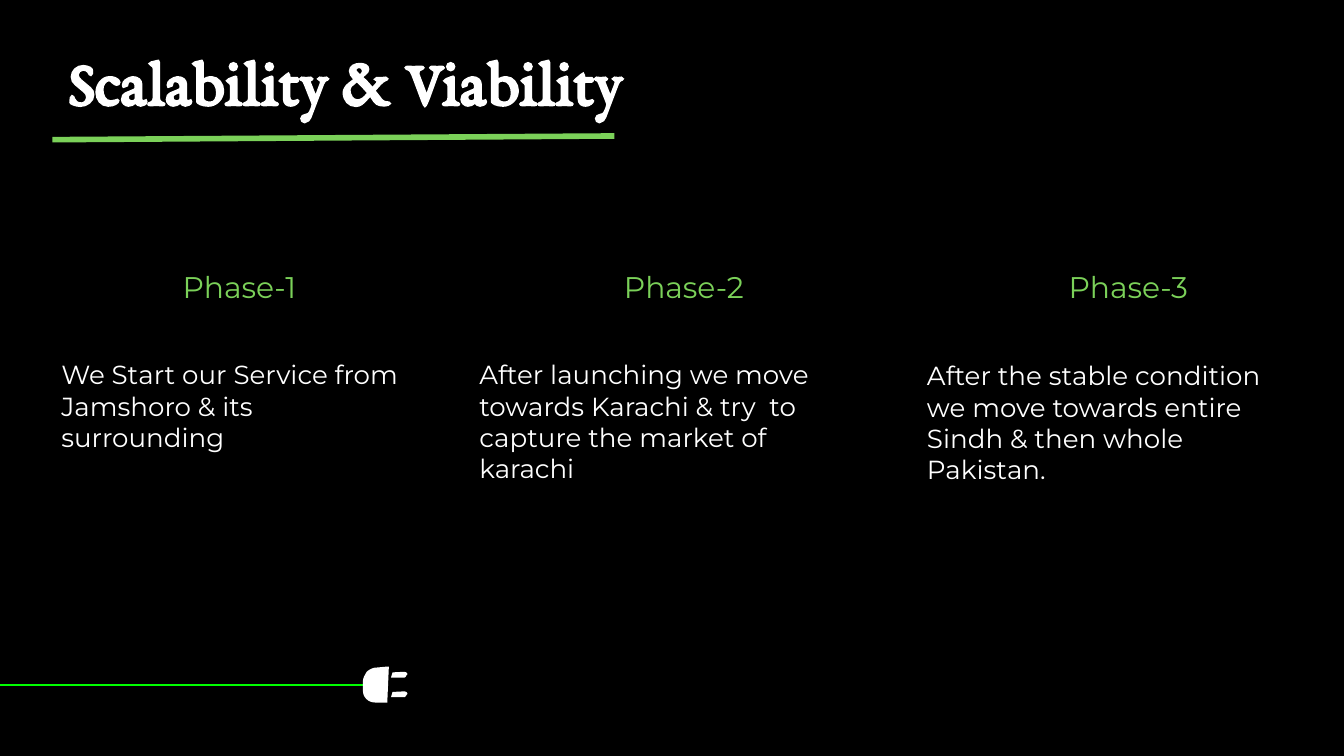
from pptx import Presentation
from pptx import util as u
from pptx.dml.color import RGBColor
from pptx.enum import shapes, text
from pptx.oxml.ns import qn
from lxml import etree

THEME = {
    "back": RGBColor(0, 0, 0),
    "cord": RGBColor(0, 255, 0),
    "white": RGBColor(255, 255, 255),
    "title": {"name": "EB Garamond", "size": u.Pt(35), "bold": True, "color": RGBColor(255, 255, 255)},
    "phase": {"name": "Montserrat", "size": u.Pt(16), "color": RGBColor(0x7B, 0xD1, 0x59)},
    "body": {"name": "Montserrat", "size": u.Pt(14), "color": RGBColor(255, 255, 255)},
}

TITLE = "Scalability & Viability"
PHASES = [
    ("Phase-1", "We Start our Service from Jamshoro & its surrounding", (0.91, 6.53, 7.24, 2.31)),
    ("Phase-2", "After launching we move towards Karachi & try  to capture the market of karachi",
     (8.81, 6.53, 7.77, 2.9)),
    ("Phase-3", "After the stable condition we move towards entire Sindh & then whole Pakistan.",
     (17.27, 6.55, 7.24, 2.9)),
]
PHASE_LEFT, PHASE_TOP, PHASE_PITCH = 2.9, 4.83, 8.4

LINES = [
    (shapes.MSO_CONNECTOR.STRAIGHT, (0.99, 2.64, 11.61, 2.57), THEME["phase"]["color"], 3),
    (shapes.MSO_CONNECTOR.ELBOW, (-0.05, 12.95, 6.86, 12.95), THEME["cord"], 1.5),
]

PLUG_BODY = [
    (7.32, 13.28), (7.09, 13.28),
    (6.96, 13.28, 6.86, 13.18, 6.86, 13.06), (6.86, 12.88),
    (6.86, 12.8, 6.91, 12.75, 6.93, 12.7),
    (6.99, 12.65, 7.05, 12.62, 7.11, 12.62),
    (7.32, 12.6), (7.35, 12.6),
]
PRONG = [
    (7.67, 13.16), (7.65, 13.18, 7.65, 13.18, 7.62, 13.18),
    (7.39, 13.18), (7.42, 13.08), (7.62, 13.07),
    (7.67, 13.07, 7.7, 13.08, 7.7, 13.12),
    (7.68, 13.13, 7.68, 13.15, 7.67, 13.16),
]
PRONG_RISE = 0.37
CURVE_STEPS = 8


def add_text(slide, words, box, style, align=text.PP_ALIGN.LEFT, **frame_format):
    frame = slide.shapes.add_textbox(*map(u.Cm, box)).text_frame
    margins = dict.fromkeys(("margin_left", "margin_right", "margin_top", "margin_bottom"), u.Cm(0.25))
    for key, value in {**margins, "word_wrap": True, **frame_format}.items():
        setattr(frame, key, value)
    paragraph = frame.paragraphs[0]
    paragraph.alignment = align
    run = paragraph.add_run()
    run.text = words
    for key, value in style.items():
        if key == "color":
            run.font.color.rgb = value
        else:
            setattr(run.font, key, value)
    return paragraph


def add_line(slide, kind, ends, color, width):
    line = slide.shapes.add_connector(kind, *map(u.Cm, ends))
    line.line.color.rgb = color
    line.line.width = u.Pt(width)
    etree.SubElement(line._element.spPr, qn("a:effectLst"))


def trace(outline):
    points = [outline[0]]
    for step in outline[1:]:
        if len(step) == 2:
            points.append(step)
            continue
        knots = [points[-1], step[:2], step[2:4], step[4:]]
        for i in range(1, CURVE_STEPS + 1):
            t = i / CURVE_STEPS
            weights = ((1 - t) ** 3, 3 * t * (1 - t) ** 2, 3 * t * t * (1 - t), t ** 3)
            points.append(tuple(sum(w * k[axis] for w, k in zip(weights, knots)) for axis in (0, 1)))
    return points


def add_plug_part(plug, outline, rise=0):
    points = [(u.Cm(x), u.Cm(y - rise)) for x, y in trace(outline)]
    builder = plug.shapes.build_freeform(*points[0])
    builder.add_line_segments(points[1:], close=True)
    part = builder.convert_to_shape()
    part.shadow.inherit = False
    part.fill.solid()
    part.fill.fore_color.rgb = THEME["white"]
    part.line.fill.background()


def main():
    deck = Presentation()
    deck.slide_width, deck.slide_height = u.Cm(25.4), u.Cm(14.29)
    slide = deck.slides.add_slide(deck.slide_layouts[6])
    slide.background.fill.solid()
    slide.background.fill.fore_color.rgb = THEME["back"]

    title = add_text(slide, TITLE, (1.04, 0.64, 19.84, 1.9), THEME["title"],
                     vertical_anchor=text.MSO_ANCHOR.MIDDLE,
                     margin_top=u.Cm(0.13), margin_bottom=u.Cm(0.13))
    title.line_spacing = 0.9

    for line in LINES:
        add_line(slide, *line)

    plug = slide.shapes.add_group_shape()
    add_plug_part(plug, PLUG_BODY)
    for rise in (0, PRONG_RISE):
        add_plug_part(plug, PRONG, rise)

    grow = text.MSO_AUTO_SIZE.SHAPE_TO_FIT_TEXT
    for i, (phase, plan, box) in enumerate(PHASES):
        add_text(slide, plan, box, THEME["body"], auto_size=grow)
        add_text(slide, phase, (PHASE_LEFT + i * PHASE_PITCH, PHASE_TOP, 3.25, 1.19),
                 THEME["phase"], text.PP_ALIGN.CENTER, auto_size=grow)

    deck.save("out.pptx")


if __name__ == "__main__":
    main()
